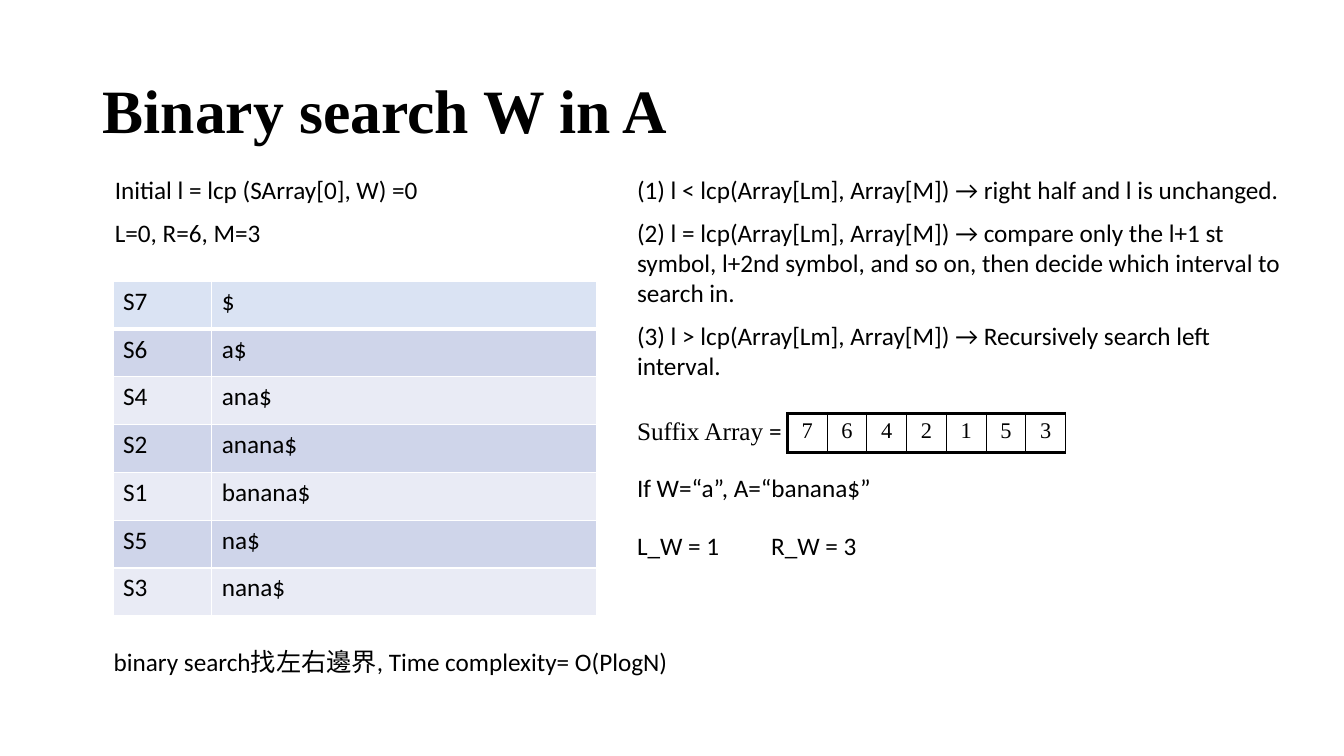
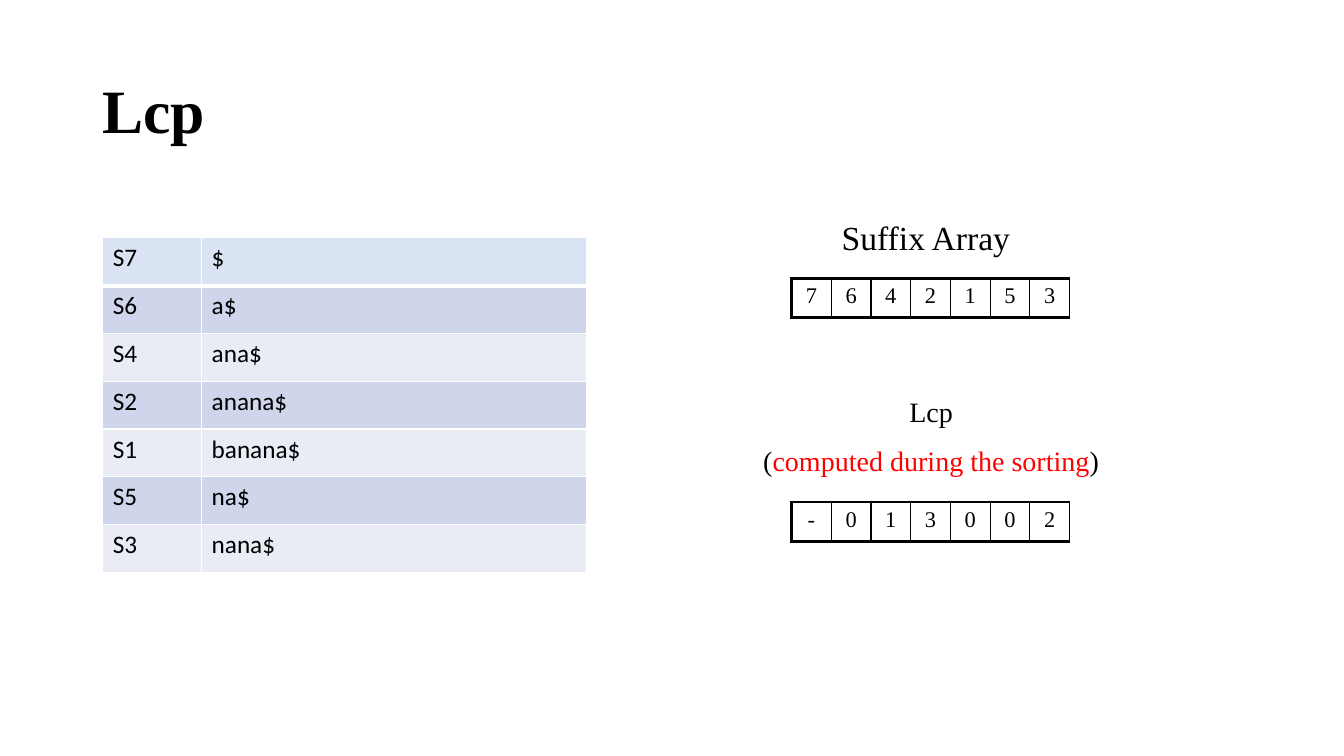
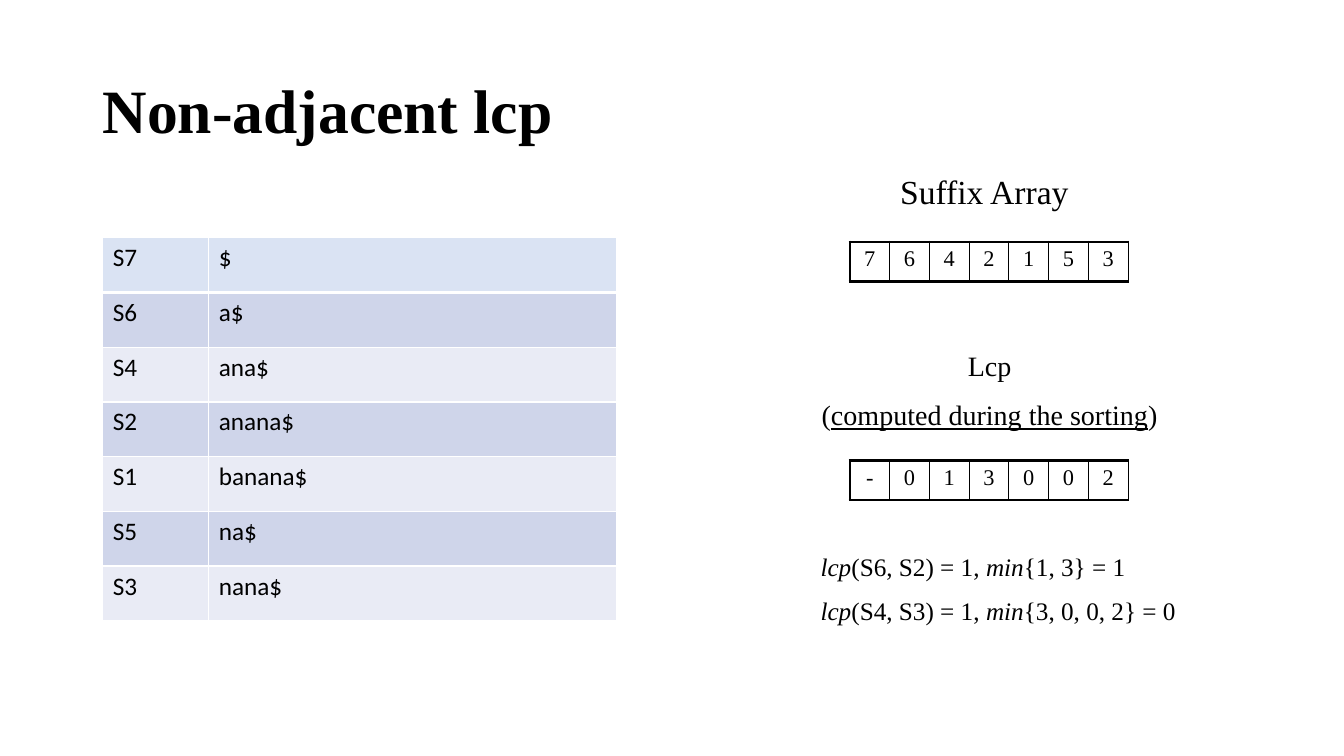
from dataclasses import dataclass

from lxml.etree import SubElement
from pptx import Presentation
from pptx.dml.color import RGBColor
from pptx.enum.text import MSO_ANCHOR, MSO_AUTO_SIZE, PP_ALIGN
from pptx.oxml.ns import qn
from pptx.util import Inches, Pt

# Shared style
SERIF, SANS = "Times New Roman", "Calibri"
BLACK, WHITE, RED = "000000", "FFFFFF", "FF0000"
HEADER_FILL, ODD_FILL, EVEN_FILL = "DAE3F3", "CFD5EA", "E9EBF5"
BODY_SIZE, CAPTION_SIZE, HEADING_SIZE, TITLE_SIZE, DIGIT_SIZE = 18, 20, 24, 44, 16

# Data for the word "banana$"
WORD = "banana$"
SUFFIX_ARRAY = [7, 6, 4, 2, 1, 5, 3]
SUFFIX_ROWS = [(f"S{start}", WORD[start - 1:]) for start in SUFFIX_ARRAY]
SUFFIX_DIGITS = [str(start) for start in SUFFIX_ARRAY]
LCP_DIGITS = ["-", "0", "1", "3", "0", "0", "2"]
ARRAY_WIDTH, ARRAY_HEIGHT = 2.76, 0.39


@dataclass
class Box:
    left: float
    top: float
    width: float
    height: float

    def lengths(self) -> list:
        return [Inches(value) for value in (self.left, self.top, self.width, self.height)]


@dataclass
class Span:
    text: str
    font: str = SERIF
    color: str = BLACK
    bold: bool = False
    italic: bool = False
    underline: bool = False


@dataclass
class Borders:
    color: str
    left: float = 1
    right: float = 1
    top: float = 1
    bottom: float = 1


@dataclass
class ArrayPanel:
    left: float
    heading_top: float
    suffix_top: float
    caption_top: float
    lcp_top: float
    caption: Span


def rgb(color: str) -> RGBColor:
    return RGBColor.from_string(color)


def sans(text: str) -> list[Span]:
    return [Span(text, SANS)]


# Text
def fill_paragraph(paragraph, spans: list[Span], size: float) -> None:
    for span in spans:
        run = paragraph.add_run()
        run.text = span.text
        font = run.font
        font.name, font.size, font.color.rgb = span.font, Pt(size), rgb(span.color)
        font.bold, font.italic, font.underline = span.bold, span.italic, span.underline


def add_text(slide, box: Box, lines: list[list[Span]], size: float = BODY_SIZE,
             align=PP_ALIGN.LEFT, wrap: bool = True, space: float = 9):
    frame = slide.shapes.add_textbox(*box.lengths()).text_frame
    frame.word_wrap = wrap
    frame.auto_size = MSO_AUTO_SIZE.SHAPE_TO_FIT_TEXT
    for index, spans in enumerate(lines):
        paragraph = frame.add_paragraph() if index else frame.paragraphs[0]
        paragraph.alignment = align
        if index:
            paragraph.space_before = Pt(space)
        fill_paragraph(paragraph, spans, size)
    return frame


def add_titled_slide(presentation, title: str):
    slide = presentation.slides.add_slide(presentation.slide_layouts[6])
    frame = add_text(slide, Box(0.92, 0.4, 11.5, 1.45), [[Span(title, bold=True)]], TITLE_SIZE)
    frame.auto_size = MSO_AUTO_SIZE.NONE
    frame.vertical_anchor = MSO_ANCHOR.MIDDLE
    frame.paragraphs[0].line_spacing = 0.9
    return slide


# Tables
def set_borders(cell, borders: Borders) -> None:
    properties = cell._tc.get_or_add_tcPr()
    sides = {"L": borders.left, "R": borders.right, "T": borders.top, "B": borders.bottom}
    for side, width in sides.items():
        line = SubElement(properties, qn(f"a:ln{side}"), w=str(Pt(width)))
        fill = SubElement(line, qn("a:solidFill"))
        SubElement(fill, qn("a:srgbClr"), val=borders.color)


def add_plain_table(slide, box: Box, row_count: int, widths: list[float]):
    table = slide.shapes.add_table(row_count, len(widths), *box.lengths()).table
    table.first_row = table.horz_banding = False
    for column, width in zip(table.columns, widths):
        column.width = Inches(width)
    for row in table.rows:
        row.height = Inches(box.height / row_count)
    return table


def add_suffix_table(slide, box: Box, label_width: float) -> None:
    widths = [label_width, box.width - label_width]
    table = add_plain_table(slide, box, len(SUFFIX_ROWS), widths)
    for row, texts in enumerate(SUFFIX_ROWS):
        color = HEADER_FILL if row == 0 else ODD_FILL if row % 2 else EVEN_FILL
        borders = Borders(WHITE, top=3 if row == 1 else 1, bottom=3 if row == 0 else 1)
        for column, text in enumerate(texts):
            cell = table.cell(row, column)
            fill_paragraph(cell.text_frame.paragraphs[0], sans(text), BODY_SIZE)
            set_borders(cell, borders)
            cell.fill.solid()
            cell.fill.fore_color.rgb = rgb(color)


def add_digit_array(slide, left: float, top: float, digits: list[str]) -> None:
    widths = [ARRAY_WIDTH / len(digits)] * len(digits)
    table = add_plain_table(slide, Box(left, top, ARRAY_WIDTH, ARRAY_HEIGHT), 1, widths)
    for column, digit in enumerate(digits):
        cell = table.cell(0, column)
        paragraph = cell.text_frame.paragraphs[0]
        paragraph.alignment = PP_ALIGN.CENTER
        fill_paragraph(paragraph, [Span(digit)], DIGIT_SIZE)
        set_borders(cell, Borders(BLACK, left=1 if column else 2.25, top=2.25, bottom=2.25))
        cell.fill.background()


def add_array_panel(slide, panel: ArrayPanel) -> None:
    add_text(slide, Box(panel.left + 0.4, panel.heading_top, 1.97, 0.5),
             [[Span("Suffix Array")]], HEADING_SIZE)
    add_digit_array(slide, panel.left, panel.suffix_top, SUFFIX_DIGITS)
    caption_lines = [[Span("Lcp")], [Span("("), panel.caption, Span(")")]]
    add_text(slide, Box(panel.left - 1.22, panel.caption_top, 5.21, 0.94), caption_lines,
             CAPTION_SIZE, PP_ALIGN.CENTER, space=11)
    add_digit_array(slide, panel.left, panel.lcp_top, LCP_DIGITS)


# Slides
def build_search_slide(presentation) -> None:
    slide = add_titled_slide(presentation, "Binary search W in A")
    add_text(slide, Box(1.04, 1.68, 3.39, 0.86),
             [sans("Initial l = lcp (SArray[0], W) =0"), sans("L=0, R=6, M=3")])
    add_suffix_table(slide, Box(1.12, 2.79, 4.8, 3.32), 0.98)
    add_text(slide, Box(1.03, 6.36, 6.27, 0.4),
             [sans("binary search找左右邊界, Time complexity= O(PlogN)")])

    right = 6.22
    add_text(slide, Box(right, 1.68, 6.67, 2.22), [
        sans("(1) l < lcp(Array[Lm], Array[M]) → right half and l is unchanged."),
        sans("(2) l = lcp(Array[Lm], Array[M]) → compare only the l+1 st symbol, "
             "l+2nd symbol, and so on, then decide which interval to search in."),
        sans("(3) l > lcp(Array[Lm], Array[M]) → Recursively search left interval."),
    ])
    add_text(slide, Box(right, 4.07, 1.65, 0.4),
             [[Span("Suffix Array"), Span(" =", SANS)]], wrap=False)
    add_digit_array(slide, 7.81, 4.1, SUFFIX_DIGITS)
    add_text(slide, Box(right, 4.64, 3.56, 0.4), [sans("If W=“a”, A=“banana$”")])
    add_text(slide, Box(right, 5.21, 1.03, 0.4), [sans("L_W = 1")], wrap=False)
    add_text(slide, Box(7.55, 5.21, 1.06, 0.4), [sans("R_W = 3")], wrap=False)


def build_lcp_slide(presentation) -> None:
    slide = add_titled_slide(presentation, "Lcp")
    add_suffix_table(slide, Box(1.02, 2.36, 4.8, 3.32), 0.98)
    caption = Span("computed during the sorting", color=RED)
    add_array_panel(slide, ArrayPanel(7.85, 2.1, 2.76, 3.86, 4.98, caption))


def build_non_adjacent_slide(presentation) -> None:
    slide = add_titled_slide(presentation, "Non-adjacent lcp")
    add_suffix_table(slide, Box(1.02, 2.36, 5.1, 3.8), 1.05)
    caption = Span("computed during the sorting", underline=True)
    add_array_panel(slide, ArrayPanel(8.43, 1.65, 2.4, 3.41, 4.57, caption))
    examples = [("(S6, S2) = 1, ", "{1, 3} = 1"), ("(S4, S3) = 1, ", "{3, 0, 0, 2} = 0")]
    add_text(slide, Box(8.04, 5.42, 4.25, 0.86), [
        [Span("lcp", italic=True), Span(pair), Span("min", italic=True), Span(minimum)]
        for pair, minimum in examples
    ], space=10)


def main() -> None:
    presentation = Presentation()
    presentation.slide_width, presentation.slide_height = Inches(13.33), Inches(7.5)
    build_search_slide(presentation)
    build_lcp_slide(presentation)
    build_non_adjacent_slide(presentation)
    presentation.save("out.pptx")


if __name__ == "__main__":
    main()
